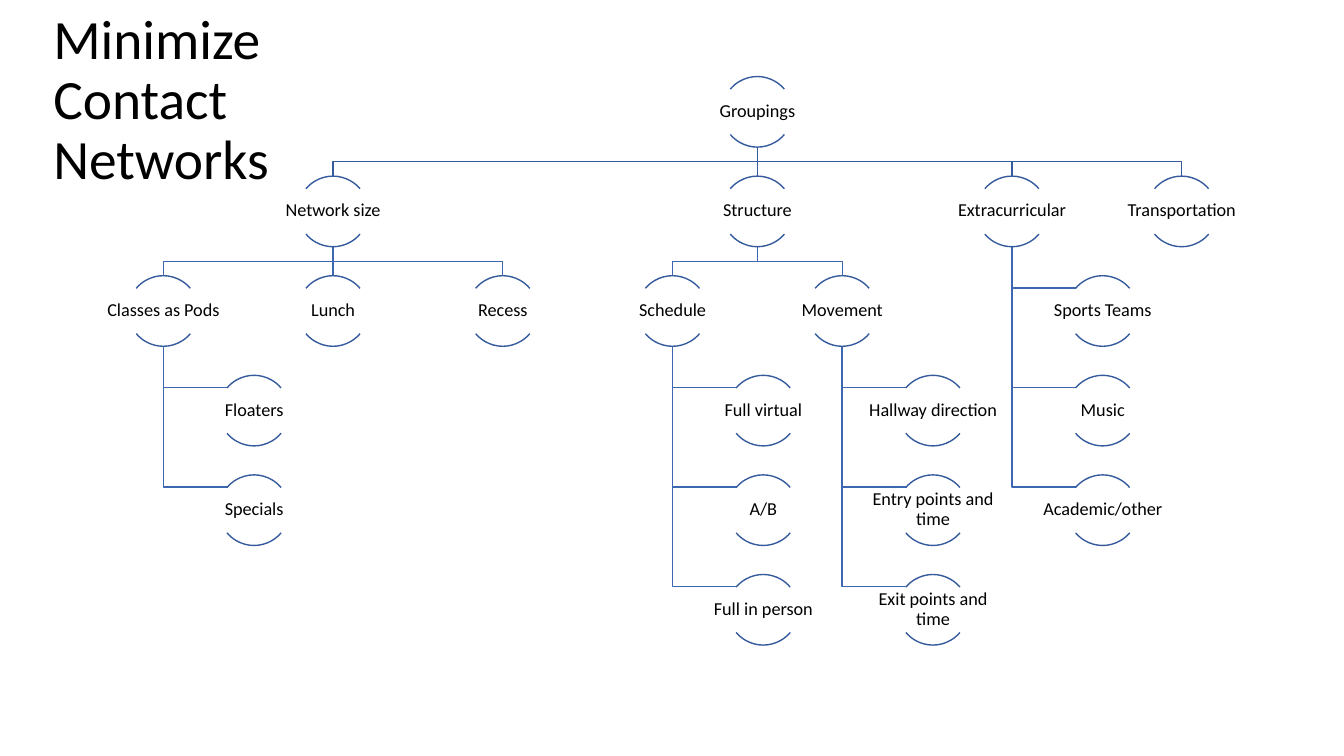
"""Build the "Minimize Contact Networks" hierarchy slide."""
import pptx
import pptx.dml.color
import pptx.enum.shapes
import pptx.enum.text
import pptx.oxml
import pptx.util
from pptx.util import Inches

BLACK = pptx.dml.color.RGBColor(0x00, 0x00, 0x00)
ARC_BLUE = pptx.dml.color.RGBColor(0x36, 0x5B, 0x9D)
LINK_BLUE = pptx.dml.color.RGBColor(0x3E, 0x67, 0xB2)

LEFT_X, COL_STEP = 1.62, (11.72 - 1.62) / 6
TOP_Y, ROW_STEP = 0.76, (5.7 - 0.76) / 5
CIRCLE = 0.7
LABEL_W, LABEL_H, LABEL_DROP = 1.39, 0.45, 0.12
HANG_DX, HANG_LINK = 0.9, 0.64
ARC_ANGLES = ((132, 192), (24, 84))

TREE = ("Groupings", 3.5, [
    ("Network size", 1, [
        ("Classes as Pods", 0, ["Floaters", "Specials"]),
        ("Lunch", 1, []),
        ("Recess", 2, []),
    ]),
    ("Structure", 3.5, [
        ("Schedule", 3, ["Full virtual", "A/B", "Full in person"]),
        ("Movement", 4, ["Hallway direction", "Entry points and time",
                         "Exit points and time"]),
    ]),
    ("Extracurricular", 5, ["Sports Teams", "Music", "Academic/other"]),
    ("Transportation", 6, []),
])


def add_text(s, text, x, y, w, h, size=13, align=None, inset=0.01):
    """Add a wrapped, vertically centred text box."""
    tf = s.shapes.add_textbox(Inches(x), Inches(y), Inches(w), Inches(h)).text_frame
    tf.word_wrap = True
    tf.vertical_anchor = pptx.enum.text.MSO_ANCHOR.MIDDLE
    tf.margin_left = tf.margin_right = Inches(inset)
    tf.margin_top = tf.margin_bottom = Inches(min(inset, 0.05))
    p = tf.paragraphs[0]
    p.alignment = align
    p.line_spacing = 0.9
    r = p.add_run()
    r.text = text
    r.font.name = "Calibri"
    r.font.size = pptx.util.Pt(size)
    r.font.color.rgb = BLACK


def set_line(sp, color):
    """Give a shape a one-point line."""
    sp.line.color.rgb = color
    sp.line.width = pptx.util.Pt(1)


def add_link(s, points, color):
    """Draw a straight connector or an open bent line through the points."""
    pts = [(Inches(x), Inches(y)) for x, y in points]
    if len({x for x, _ in pts}) == 1:
        sp = s.shapes.add_connector(
            pptx.enum.shapes.MSO_CONNECTOR.STRAIGHT, *pts[0], *pts[-1])
        sp._element.spPr.append(pptx.oxml.parse_xml(
            '<a:effectLst xmlns:a='
            '"http://schemas.openxmlformats.org/drawingml/2006/main"/>'))
    else:
        builder = s.shapes.build_freeform(*pts[0])
        builder.add_line_segments(pts[1:], close=False)
        sp = builder.convert_to_shape()
        sp.fill.background()
        sp.shadow.inherit = False
    set_line(sp, color)


def add_node(s, label, x, y):
    """Draw a label between an upper and a lower arc."""
    for angles in ARC_ANGLES:
        sp = s.shapes.add_shape(
            pptx.enum.shapes.MSO_SHAPE.ARC, Inches(x - CIRCLE / 2), Inches(y),
            Inches(CIRCLE), Inches(CIRCLE))
        sp.adjustments[0], sp.adjustments[1] = angles
        sp.fill.background()
        sp.shadow.inherit = False
        set_line(sp, ARC_BLUE)
    add_text(s, label, x - LABEL_W / 2, y + LABEL_DROP, LABEL_W, LABEL_H,
             align=pptx.enum.text.PP_ALIGN.CENTER)


def lay_out(node, row=0):
    """Return the placed labels and the links of a branch."""
    label, col, children = node
    x, y = LEFT_X + COL_STEP * col, TOP_Y + ROW_STEP * row
    bottom = y + CIRCLE
    nodes, links = [(label, x, y)], []
    color = LINK_BLUE if row else ARC_BLUE
    for i, child in enumerate(children, 1):
        if isinstance(child, str):
            child_y = y + ROW_STEP * i
            link_y = child_y + LABEL_DROP
            nodes.append((child, x + HANG_DX, child_y))
            links.append(([(x, bottom), (x, link_y), (x + HANG_LINK, link_y)], color))
        else:
            sub_nodes, sub_links = lay_out(child, row + 1)
            _, child_x, child_y = sub_nodes[0]
            mid = (bottom + child_y) / 2
            links.append(([(x, bottom), (x, mid), (child_x, mid),
                           (child_x, child_y)], color))
            nodes += sub_nodes
            links += sub_links
    return nodes, links


def main():
    """Build and save the slide."""
    prs = pptx.Presentation()
    prs.slide_width, prs.slide_height = Inches(13.33), Inches(7.5)
    s = prs.slides.add_slide(prs.slide_layouts[6])
    add_text(s, "Minimize Contact Networks", 0.43, 0.28, 3.55, 1.45,
             size=39.6, inset=0.1)
    nodes, links = lay_out(TREE)
    for points, color in links:
        add_link(s, points, color)
    for label, x, y in nodes:
        add_node(s, label, x, y)
    prs.save("out.pptx")


if __name__ == "__main__":
    main()
